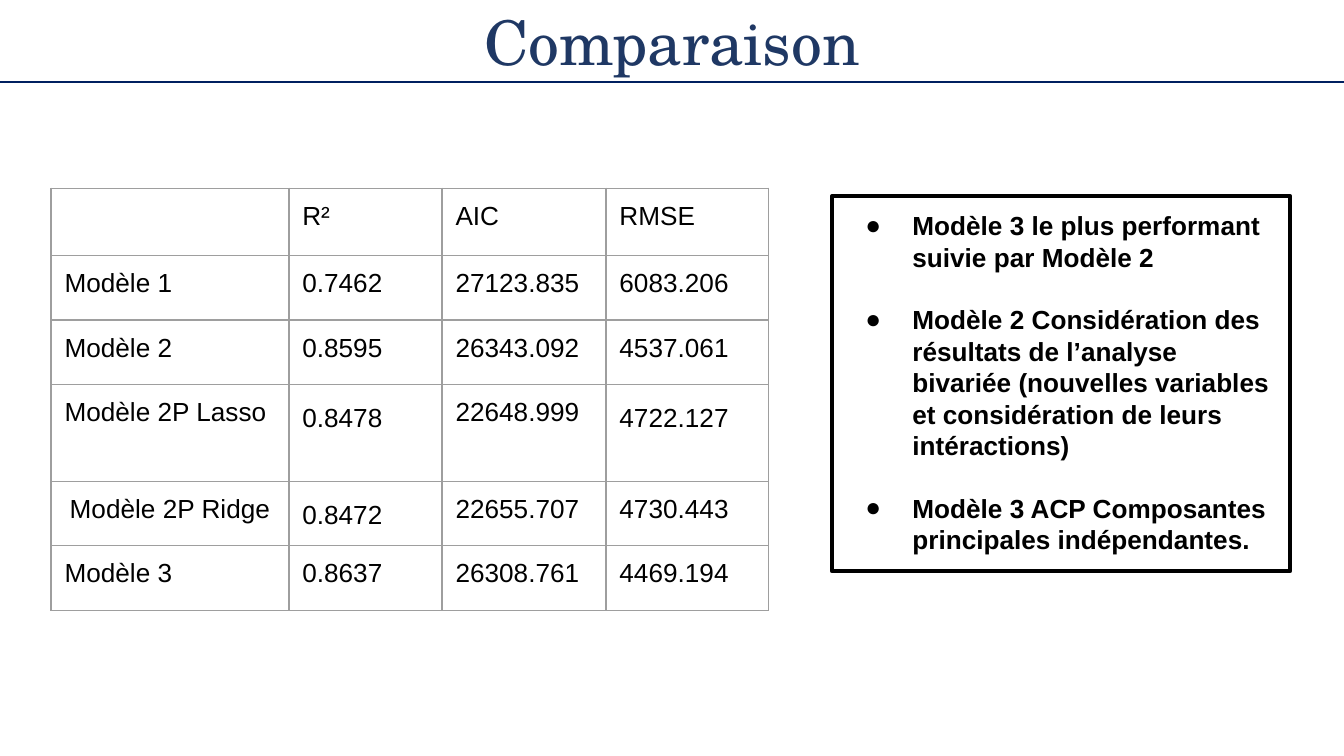
from lxml import etree
from pptx import Presentation
from pptx.dml.color import RGBColor
from pptx.enum import shapes, text
from pptx.oxml import ns
from pptx.util import Inches, Pt

NAVY = RGBColor(0x00, 0x20, 0x60)
TITLE_BLUE = RGBColor(0x1F, 0x38, 0x64)
BLACK = RGBColor(0, 0, 0)
GREY = RGBColor(0x9E, 0x9E, 0x9E)

ROWS = [
    ["", "R²", "AIC", "RMSE"],
    ["Modèle 1", "0.7462", "27123.835", "6083.206"],
    ["Modèle 2", "0.8595", "26343.092", "4537.061"],
    ["Modèle 2P Lasso", "0.8478", "22648.999", "4722.127"],
    ["Modèle 2P Ridge", "0.8472", "22655.707", "4730.443"],
    ["Modèle 3", "0.8637", "26308.761", "4469.194"],
]
COL_WIDTHS = [1.77, 1.14, 1.22, 1.21]
ROW_HEIGHTS = [0.5, 0.48, 0.48, 0.72, 0.48, 0.48]
LOOSE_CELLS = {(3, 1), (3, 3), (4, 1)}
CENTRED_CELLS = {(4, 0)}

FINDINGS = [
    "Modèle 3 le plus performant suivie par Modèle 2",
    "Modèle 2 Considération des résultats de l’analyse bivariée "
    "(nouvelles variables et considération de leurs intéractions)",
    "Modèle 3 ACP Composantes principales indépendantes.",
]


def add_run(p, words, size, color, font="Arial", bold=False):
    """Add one formatted run to a paragraph."""
    r = p.add_run()
    r.text = words
    r.font.size, r.font.name, r.font.bold = Pt(size), font, bold
    r.font.color.rgb = color


def set_margins(frame, across, down):
    """Set the inner margins of a text frame or cell."""
    frame.margin_left = frame.margin_right = Inches(across)
    frame.margin_top = frame.margin_bottom = Inches(down)


def add_bullet(p, left, indent, size):
    """Give a paragraph a round black bullet and a hanging indent."""
    pPr = p._p.get_or_add_pPr()
    pPr.set("marL", str(Inches(left)))
    pPr.set("indent", str(Inches(indent)))
    clr = etree.SubElement(pPr, ns.qn("a:buClr"))
    etree.SubElement(clr, ns.qn("a:srgbClr"), val=str(BLACK))
    etree.SubElement(pPr, ns.qn("a:buSzPts"), val=str(size * 100))
    etree.SubElement(pPr, ns.qn("a:buFont"), typeface="Arial")
    etree.SubElement(pPr, ns.qn("a:buChar"), char="●")


def set_borders(cell, color, width):
    """Draw the four borders of a table cell."""
    tcPr = cell._tc.get_or_add_tcPr()
    for i, side in enumerate(("lnL", "lnR", "lnT", "lnB")):
        ln = etree.Element(ns.qn("a:" + side), w=str(Pt(width)))
        fill = etree.SubElement(ln, ns.qn("a:solidFill"))
        etree.SubElement(fill, ns.qn("a:srgbClr"), val=str(color))
        tcPr.insert(i, ln)


def add_header(s, x, y, w, h):
    """Place the rule and the centred title."""
    rule = s.shapes.add_connector(
        shapes.MSO_CONNECTOR.STRAIGHT, Inches(x), Inches(y + h), Inches(x + w), Inches(y + h))
    rule.line.color.rgb = NAVY
    rule.line.width = Pt(1.5)
    etree.SubElement(rule._element.spPr, ns.qn("a:effectLst"))
    sp = s.shapes.add_textbox(Inches(x + 0.31), Inches(y - 0.01), Inches(w - 0.62), Inches(h + 0.02))
    tf = sp.text_frame
    tf.word_wrap = True
    set_margins(tf, 0.07, 0.04)
    p = tf.paragraphs[0]
    p.alignment = text.PP_ALIGN.CENTER
    add_run(p, "Comparaison", 33, TITLE_BLUE, "TeX Gyre Schola")


def add_scores(s, x, y):
    """Place the table of model scores."""
    frame = s.shapes.add_table(
        len(ROWS), len(COL_WIDTHS), Inches(x), Inches(y),
        Inches(sum(COL_WIDTHS)), Inches(sum(ROW_HEIGHTS)))
    table = frame.table
    table.first_row = table.horz_banding = False
    for column, width in zip(table.columns, COL_WIDTHS):
        column.width = Inches(width)
    for i, (row, height) in enumerate(zip(ROWS, ROW_HEIGHTS)):
        table.rows[i].height = Inches(height)
        for j, words in enumerate(row):
            cell = table.cell(i, j)
            cell.fill.background()
            set_margins(cell, 0.1, 0.1)
            set_borders(cell, GREY, 0.75)
            p = cell.text_frame.paragraphs[0]
            if (i, j) in LOOSE_CELLS:
                p.line_spacing = 1.2
            if (i, j) in CENTRED_CELLS:
                p.alignment = text.PP_ALIGN.CENTER
            if words:
                add_run(p, words, 14, BLACK)


def add_findings(s, x, y, w, h):
    """Place the framed list of findings."""
    sp = s.shapes.add_shape(
        shapes.MSO_SHAPE.RECTANGLE, Inches(x), Inches(y), Inches(w), Inches(h))
    sp.shadow.inherit = False
    sp.fill.background()
    sp.line.color.rgb = BLACK
    sp.line.width = Pt(2.25)
    tf = sp.text_frame
    tf.word_wrap = True
    tf.vertical_anchor = text.MSO_ANCHOR.TOP
    set_margins(tf, 0.1, 0.1)
    for i, words in enumerate(FINDINGS):
        p = tf.add_paragraph() if i else tf.paragraphs[0]
        add_bullet(p, 0.5, -0.35, 14)
        p.alignment = text.PP_ALIGN.LEFT
        if i:
            p.space_before = Pt(16.8)
        add_run(p, words, 14, BLACK, bold=True)


def main():
    """Build the comparison slide."""
    prs = Presentation()
    prs.slide_width = Inches(10)
    prs.slide_height = prs.slide_width * 9 // 16
    s = prs.slides.add_slide(prs.slide_layouts[6])
    add_header(s, 0, 0, 10, 0.61)
    add_findings(s, 6.19, 1.46, 3.41, 2.79)
    add_scores(s, 0.38, 1.4)
    prs.save("out.pptx")


if __name__ == "__main__":
    main()
